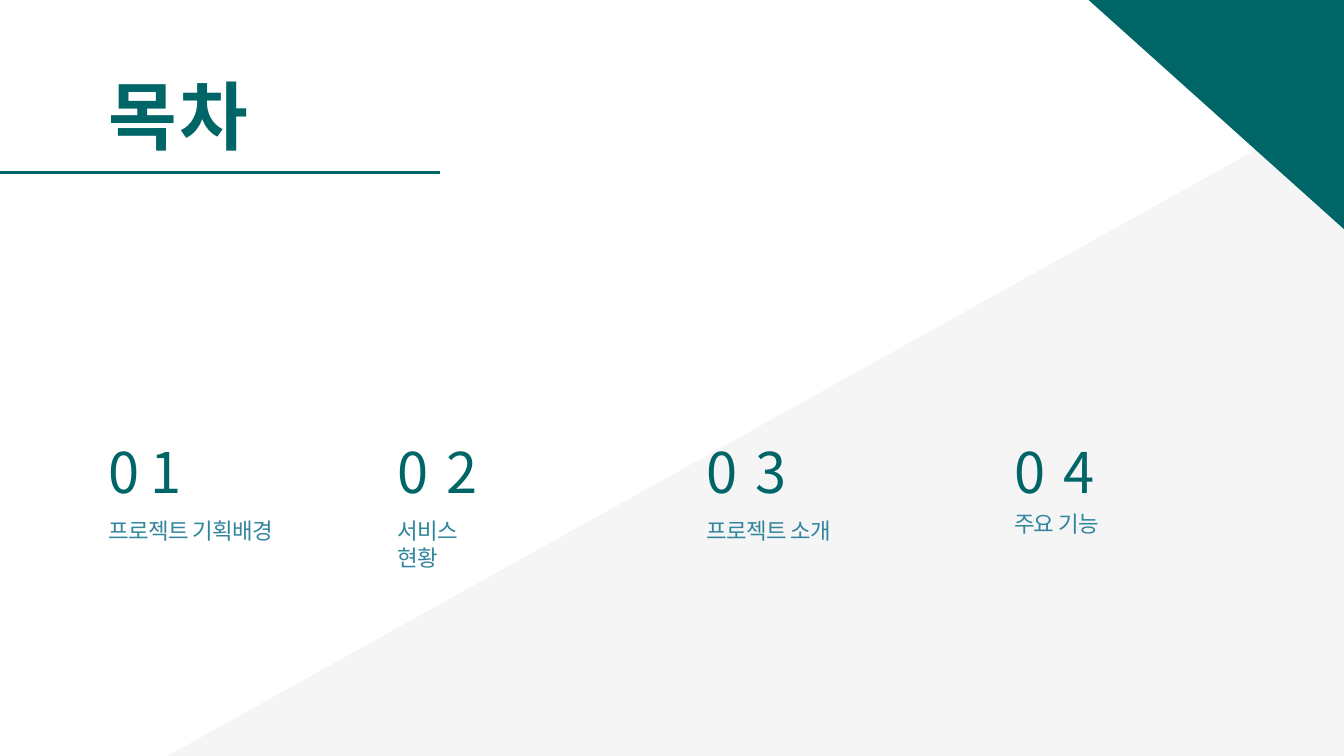
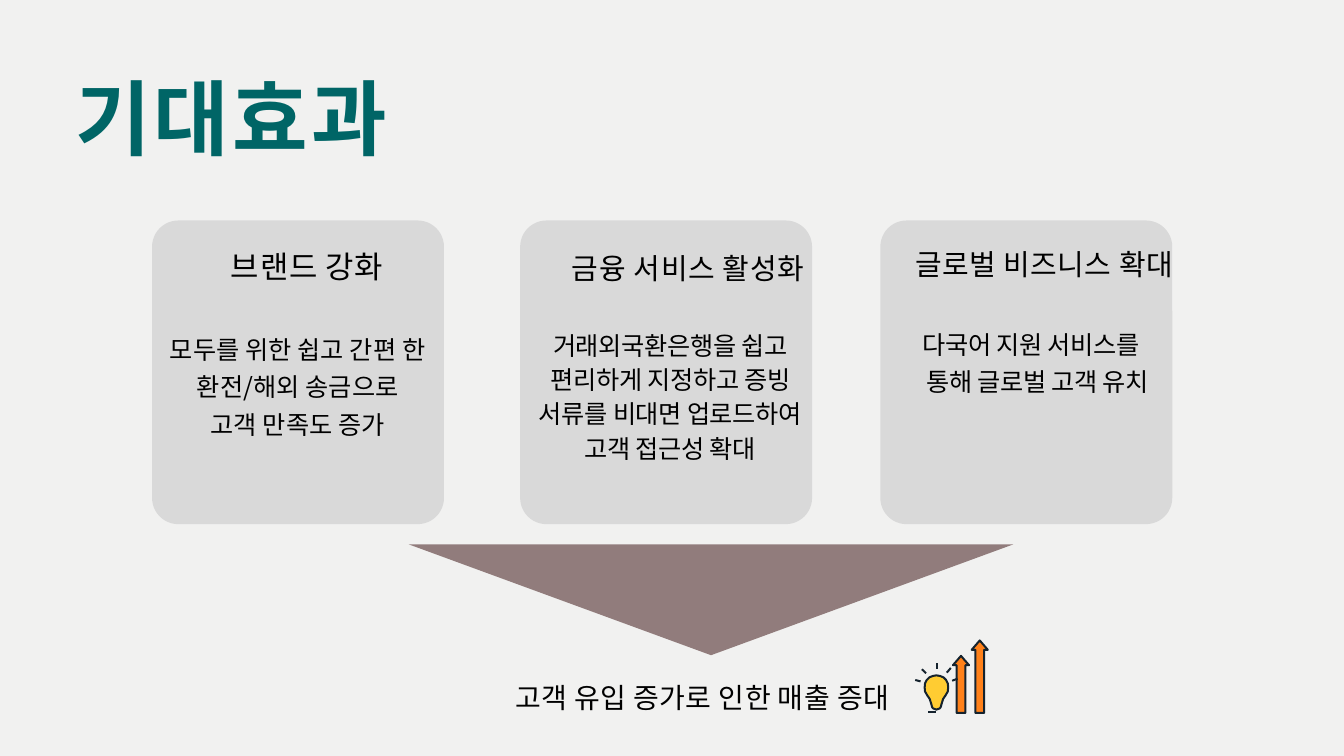
from pptx import Presentation
from pptx.dml.color import RGBColor as RGB
from pptx.enum.shapes import MSO_CONNECTOR as CONN, MSO_SHAPE as SHAPE
from pptx.enum.text import MSO_ANCHOR as ANCHOR, MSO_AUTO_SIZE as AUTO, PP_ALIGN as ALIGN
from pptx.oxml.ns import qn
from pptx.util import Pt
from lxml import etree

FONT = "Noto Sans CJK KR"
C = {
    "teal": "006566", "blue": "31859C", "black": "000000", "pale": "F5F5F5",
    "paper": "F1F1F0", "card": "D9D9D9", "mauve": "917C7C",
    "ink": "15232E", "orange": "FF811A", "yellow": "FFCC32",
}
TITLE = {"size": 80, "color": "teal", "bold": True, "spc": 3.2}
NUMBER = {"size": 60, "color": "teal", "spc": 19.6}
LABEL = {"size": 24, "color": "blue", "spc": -0.7}
HEAD = {"size": 31, "color": "black", "spc": 0.8}
BODY = {"size": 27, "color": "black", "spc": -0.3, "align": ALIGN.CENTER, "line_spacing": Pt(36.8)}


def write(sp, box, paras, top=0.7):
    sp.left, sp.top, sp.width, sp.height = [Pt(v) for v in box]
    tf = sp.text_frame
    frame = {"margin_left": 0, "margin_right": 0, "margin_bottom": 0, "margin_top": Pt(top),
             "word_wrap": True, "auto_size": AUTO.SHAPE_TO_FIT_TEXT, "vertical_anchor": ANCHOR.TOP}
    for name, value in frame.items():
        setattr(tf, name, value)
    for i, (text, fmt) in enumerate(paras):
        p = tf.add_paragraph() if i else tf.paragraphs[0]
        p.text = text
        p.alignment = fmt.get("align", ALIGN.LEFT)
        p.line_spacing = fmt.get("line_spacing", 1.0)
        p.space_before = Pt(fmt.get("before", 0))
        for r in p.runs:
            values = {"name": FONT, "size": Pt(fmt["size"]), "bold": fmt.get("bold", False)}
            for name, value in values.items():
                setattr(r.font, name, value)
            r.font.color.rgb = RGB.from_string(C[fmt["color"]])
            rPr = r._r.get_or_add_rPr()
            rPr.set("spc", str(round(fmt["spc"] * 100)))
            etree.SubElement(rPr, qn("a:ea")).set("typeface", FONT)


def paint(sp, line, fill=None, width=2.16):
    if fill:
        sp.fill.solid()
        sp.fill.fore_color.rgb = RGB.from_string(C[fill])
    if line:
        sp.line.color.rgb = RGB.from_string(C[line])
        sp.line.width = Pt(width)
    else:
        sp.line.fill.background()
    etree.SubElement(sp._element.spPr, qn("a:effectLst"))


prs = Presentation()
prs.slide_width, prs.slide_height = Pt(1440), Pt(810)
layout = prs.slide_layouts[5]

s = prs.slides.add_slide(layout)
triangles = [
    ("pale", [(1440, 108), (1440, 810), (179.3, 810)]),
    ("teal", [(1166.4, 0), (1440, 0), (1440, 245.5)]),
]
for fill, points in triangles:
    corners = [(Pt(x), Pt(y)) for x, y in points]
    fb = s.shapes.build_freeform(*corners[0])
    fb.add_line_segments(corners[1:], close=True)
    paint(fb.convert_to_shape(), None, fill)
rule = s.shapes.add_connector(CONN.STRAIGHT, 0, Pt(184.8), Pt(471.6), Pt(184.8))
paint(rule, "teal", width=2.4)
write(s.shapes.title, (116, 74.2, 168.5, 98), [("목차", TITLE)])

contents = [
    ("01", "프로젝트 기획배경", (116, 434.2, 190, 150), 34.6, 11.8, 13.5),
    ("02", "서비스 현황", (426, 434.2, 106, 150), 34.6, 19.6, 13.5),
    ("03", "프로젝트 소개", (757, 434.2, 150, 150), 34.6, 19.6, 13.5),
    ("04", "주요 기능", (1086.5, 454.5, 120, 121), 14.4, 19.6, 5.2),
]
for number, label, box, top, spc, before in contents:
    paras = [(number, {**NUMBER, "spc": spc}), (label, {**LABEL, "before": before})]
    write(s.shapes.add_textbox(0, 0, 0, 0), box, paras, top)

s = prs.slides.add_slide(layout)
s.background.fill.solid()
s.background.fill.fore_color.rgb = RGB.from_string(C["paper"])
write(s.shapes.title, (80.6, 71.3, 368, 107), [("기대효과", {**TITLE, "size": 88, "spc": 3.5})])

cards = [
    (162.9, "브랜드 강화", (247.5, 265, 196, 41), {**HEAD, "size": 33},
     ["모두를 위한 쉽고 간편 한\n환전/해외 송금으로\n고객 만족도 증가"],
     (172.1, 348, 294, 120), {**BODY, "line_spacing": 1.24, "spc": 0.1}),
    (557.3, "금융 서비스 활성화", (612.7, 268, 275, 39), HEAD,
     ["거래외국환은행을 쉽고 편리하게 지정하고 증빙 서류를 비대면 업로드하여 고객 접근성 확대"],
     (566.6, 347.2, 303, 148), BODY),
    (943.2, "글로벌 비즈니스 확대", (980.6, 263.5, 303, 39), {**HEAD, "spc": 0.6},
     ["다국어 지원 서비스를", "통해 글로벌 고객 유치"],
     (953, 346.8, 303, 76), {**BODY, "before": 2.3}),
]
for left, head, head_box, head_fmt, lines, body_box, body_fmt in cards:
    card = s.shapes.add_shape(SHAPE.ROUNDED_RECTANGLE, Pt(left), Pt(236.2), Pt(312.8), Pt(325.4))
    card.adjustments[0] = 0.09
    paint(card, None, "card")
    write(s.shapes.add_textbox(0, 0, 0, 0), head_box, [(head, head_fmt)])
    body = s.shapes.add_textbox(0, 0, 0, 0)
    write(body, body_box, [(line, body_fmt) for line in lines], 2)
    for p in body.text_frame.paragraphs[1:]:
        p._p.get_or_add_pPr().set("marL", str(Pt(14)))

funnel = s.shapes.add_shape(SHAPE.ISOSCELES_TRIANGLE, Pt(437.8), Pt(583.2), Pt(648), Pt(118.8))
funnel.rotation = 180
paint(funnel, None, "mauve")
write(s.shapes.add_textbox(0, 0, 0, 0), (552.2, 728.6, 420, 38),
      [("고객 유입 증가로 인한 매출 증대", {**HEAD, "size": 30, "spc": 0.5})])

for left, top in [(1041.1, 686.2), (1021, 702.7)]:
    arrow = s.shapes.add_shape(SHAPE.UP_ARROW, Pt(left), Pt(top), Pt(17.3), Pt(763.9 - top))
    arrow.adjustments[0], arrow.adjustments[1] = 0.54, 0.58
    paint(arrow, "ink", "orange")

bulb_x = 1003.3
half = [(0, 723.6), (4, 724.3), (7.6, 725.8), (10.4, 728.6), (12.2, 732.2), (12.6, 736.6),
        (12.2, 740.9), (9.7, 745.2), (7.2, 748.8), (5.4, 754.6), (4.7, 757.4), (3.6, 759), (0, 760.3)]
outline = [(Pt(bulb_x + dx), Pt(y)) for dx, y in half]
outline += [(Pt(bulb_x - dx), Pt(y)) for dx, y in half[-2:0:-1]]
fb = s.shapes.build_freeform(*outline[0])
fb.add_line_segments(outline[1:], close=True)
paint(fb.convert_to_shape(), "ink", "yellow")

rays = [
    (1003.7, 710.6, 1003.7, 716.4), (1026, 727.2, 1020.2, 729.4), (1018.8, 715.7, 1014.5, 720.7),
    (980.6, 728.6, 986.4, 730.1), (987.8, 717.1, 992.2, 721.4),
]
fb = s.shapes.build_freeform(Pt(rays[0][0]), Pt(rays[0][1]))
for i, ray in enumerate(rays):
    x1, y1, x2, y2 = [Pt(v) for v in ray]
    if i:
        fb.move_to(x1, y1)
    fb.add_line_segments([(x2, y2)], close=False)
glow = fb.convert_to_shape()
glow.fill.background()
paint(glow, "ink")
base = s.shapes.add_connector(CONN.STRAIGHT, Pt(994.5), Pt(763.2), Pt(1003), Pt(763.2))
paint(base, "ink")

prs.save("out.pptx")
